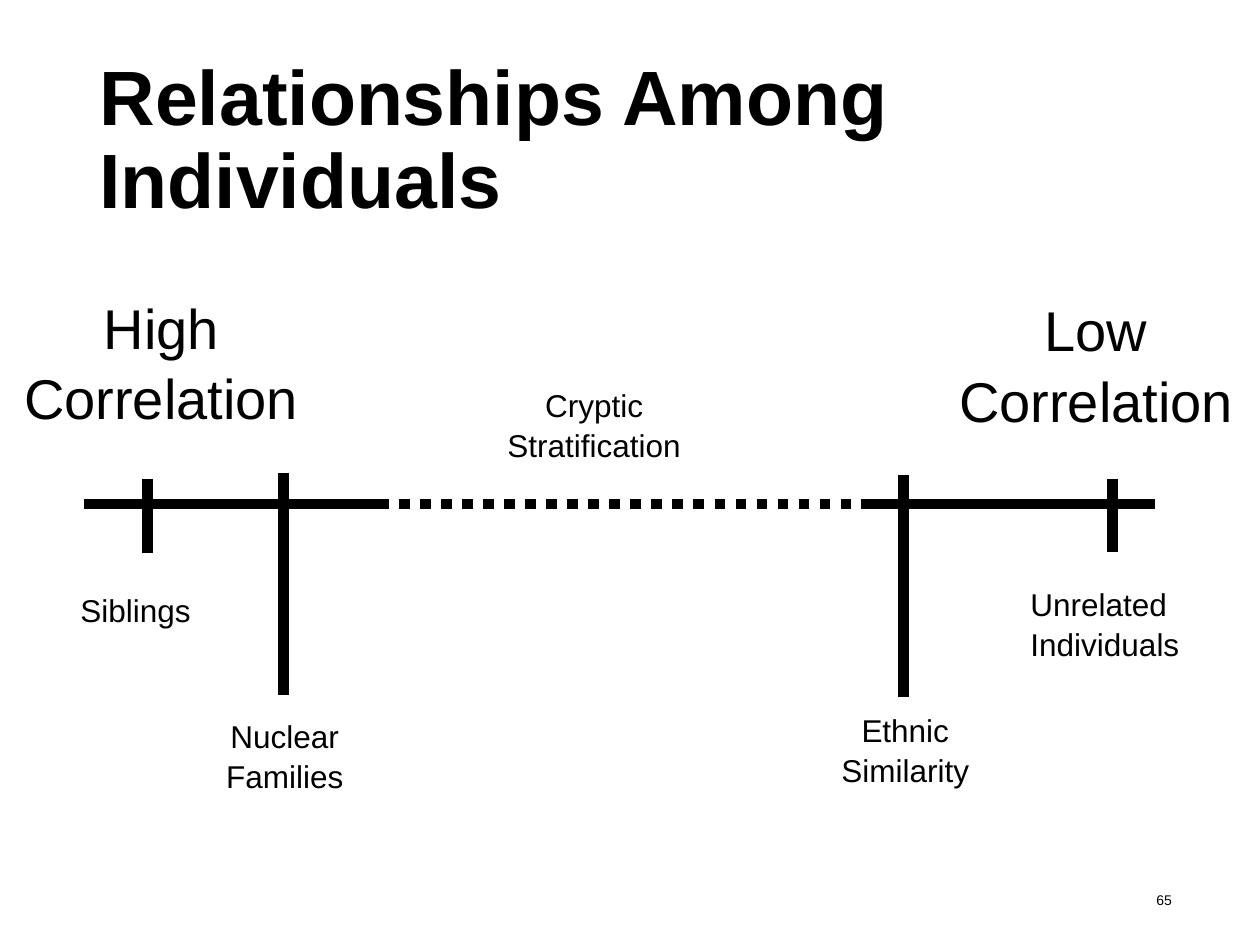
from pptx import Presentation, util as u
from pptx.dml.color import RGBColor
from pptx.enum import dml, shapes, text
from pptx.oxml.ns import qn
from lxml import etree

INK = "000000"
AXIS = 4
LEFT, MID = text.PP_ALIGN.LEFT, text.PP_ALIGN.CENTER


def paint(color, value):
    color.rgb = RGBColor.from_string(value)


def style(para, size, align=LEFT, **more):
    para.alignment = align
    for key, val in dict(name="Arial", size=u.Pt(size), **more).items():
        setattr(para.font, key, val)
    paint(para.font.color, INK)


def place(shape, *box):
    for key, val in zip(("left", "top", "width", "height"), box):
        setattr(shape, key, u.Inches(val))


def title(slide, words):
    shape = slide.shapes.title
    place(shape, 0.69, 0.4, 8.62, 1.45)
    frame = shape.text_frame
    frame.text = words
    frame.vertical_anchor = text.MSO_ANCHOR.MIDDLE
    style(frame.paragraphs[0], 44, bold=True)
    frame.paragraphs[0].line_spacing = 0.9


def label(slide, words, box, size=18, align=MID, wrap=False):
    shape = slide.shapes.add_textbox(*map(u.Inches, box))
    frame = shape.text_frame
    frame.word_wrap = wrap
    frame.auto_size = text.MSO_AUTO_SIZE.SHAPE_TO_FIT_TEXT
    frame.text = words
    for para in frame.paragraphs:
        style(para, size, align)
        para.line_spacing = 1.05


def stroke(slide, x1, y1, x2, y2, dash=None):
    line = slide.shapes.add_connector(
        shapes.MSO_CONNECTOR.STRAIGHT, *map(u.Inches, (x1, y1, x2, y2)))
    line.line.width = u.Pt(6)
    paint(line.line.color, INK)
    if dash:
        line.line.dash_style = dash
    etree.SubElement(line._element.spPr, qn("a:effectLst"))


def main():
    prs = Presentation()
    prs.slide_width, prs.slide_height = u.Inches(10), u.Inches(7.5)
    slide = prs.slides.add_slide(prs.slide_layouts[5])
    title(slide, "Relationships Among Individuals")

    # Axis: solid ends, dotted middle
    for x1, x2, dash in ((0.67, 3, None), (6.83, 9.17, None),
                         (3, 6.83, dml.MSO_LINE.ROUND_DOT)):
        stroke(slide, x1, AXIS, x2, AXIS, dash)

    # Ticks
    for x, top, end in ((1.17, 3.8, 4.39), (2.25, 3.75, 5.52),
                        (7.17, 3.77, 5.53), (8.83, 3.8, 4.38)):
        stroke(slide, x, top, x, end)

    # Ends of the scale
    label(slide, "High\nCorrelation", (0.08, 2.25, 2.4, 1.18), 32)
    label(slide, "Low\nCorrelation", (7.5, 2.27, 2.4, 1.18), 32)

    # Groups along the scale
    label(slide, "Siblings", (0.54, 4.63, 1.09, 0.4), align=LEFT)
    label(slide, "Nuclear\nFamilies", (1.69, 5.63, 1.14, 0.71))
    label(slide, "Cryptic\nStratification", (3.92, 3, 1.59, 0.71))
    label(slide, "Ethnic\nSimilarity", (6.57, 5.58, 1.23, 0.71))
    label(slide, "Unrelated\nIndividuals", (8.08, 4.58, 1.39, 0.71), align=LEFT)

    # Page number
    label(slide, "65", (9.08, 7.02, 0.67, 0.23), 8, LEFT, True)
    prs.save("out.pptx")


if __name__ == "__main__":
    main()
